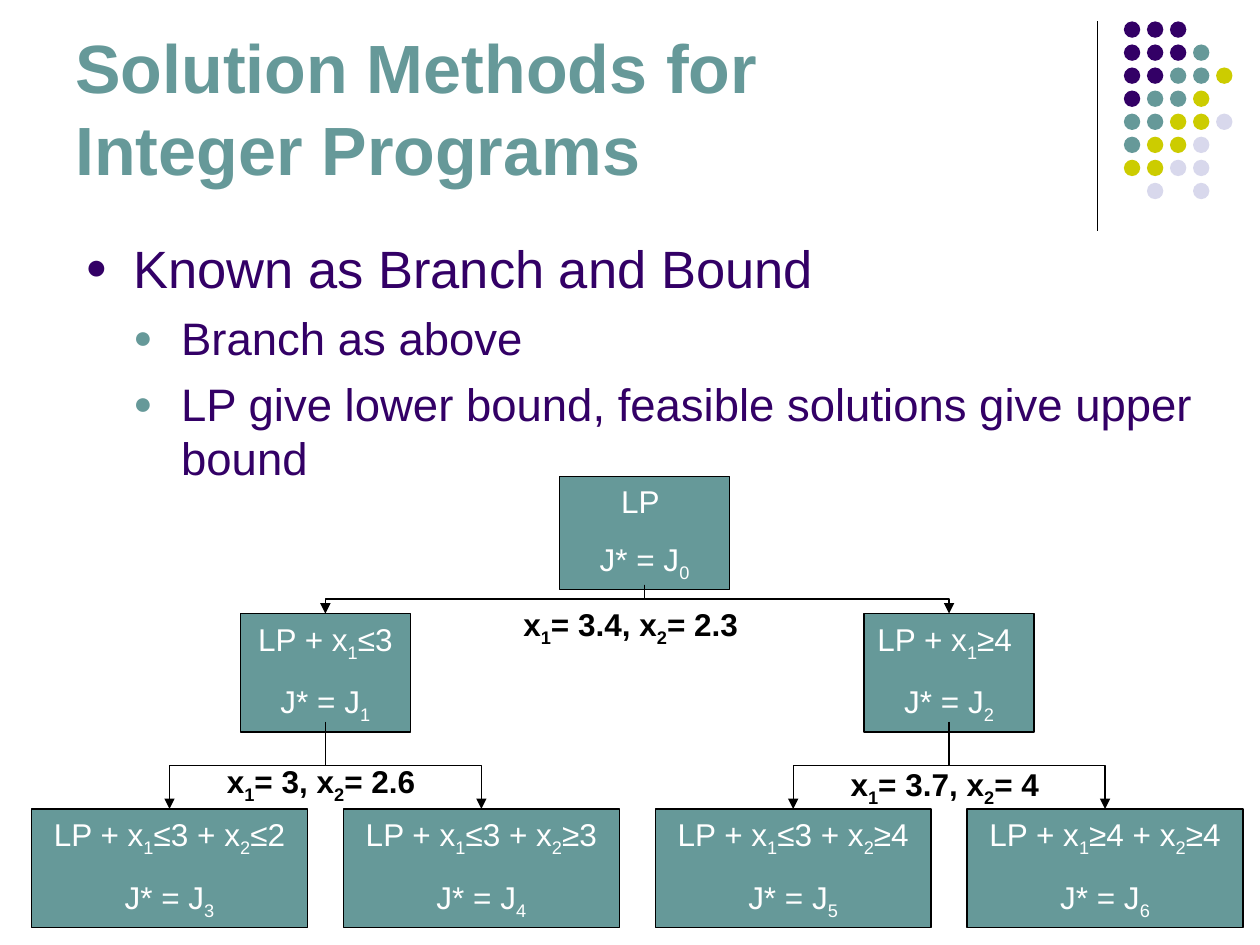
from lxml import etree
from pptx import Presentation
from pptx import util as u
from pptx.dml.color import RGBColor
from pptx.enum import shapes, text
from pptx.oxml.ns import qn

COLORS = {"purple": "330066", "teal": "669999", "olive": "CCCC00",
          "lilac": "D8D8EC", "black": "000000", "white": "FFFFFF"}
DOT_COLORS = {"P": "purple", "T": "teal", "O": "olive", "L": "lilac"}
DOT_ROWS = ["PPP", "PPPT", "PPTTO", "PTTO", "TTOOL", "TOOL", "OOLL", " L L"]

TITLE = {"size": u.Pt(39), "bold": True}
NODE = {"size": u.Pt(18), "bold": False}
LABEL = {"size": u.Pt(18), "bold": True}
BULLETS = [{"size": 30, "before": 0, "indent": 0.38, "dot": "purple"},
           {"size": 26, "before": 6.5, "indent": 0.76, "dot": "teal"}]
POINTS = [(0, "Known as Branch and Bound"),
          (1, "Branch as above"),
          (1, "LP give lower bound, feasible solutions give upper bound")]

LEAF_PITCH = 2.475
BRANCHES = [
    {"node": ("LP + x_1≤3", "J* = J_1"), "label": "x_1= 3, x_2= 2.6 ", "label_top": 6.0,
     "leaves": [("LP + x_1≤3 + x_2≤2", "J* = J_3"), ("LP + x_1≤3 + x_2≥3", "J* = J_4")]},
    {"node": ("LP + x_1≥4 ", "J* = J_2"), "label": "x_1= 3.7, x_2= 4 ", "label_top": 6.02,
     "leaves": [("LP + x_1≤3 + x_2≥4", "J* = J_5"), ("LP + x_1≥4 + x_2≥4", "J* = J_6")]},
]


def rgb(name):
    return RGBColor.from_string(COLORS[name])


def inches(*lengths):
    return [u.Inches(length) for length in lengths]


def style(font, color, formats):
    font.name = "Arial"
    font.color.rgb = rgb(color)
    for attribute, value in formats.items():
        setattr(font, attribute, value)


def add_text(slide, left, top, width, height):
    frame = slide.shapes.add_textbox(*inches(left, top, width, height)).text_frame
    frame.word_wrap = True
    return frame


def add_line(slide, kind, start, end):
    line = slide.shapes.add_connector(kind, *inches(*start, *end))
    line.line.color.rgb = rgb("black")
    line.line.width = u.Pt(0.75)
    etree.SubElement(line._element.spPr, qn("a:effectLst"))
    return line


def write_formula(paragraph, formula, color, formats):
    """Write centred text in which the character after each _ is a subscript."""
    paragraph.alignment = text.PP_ALIGN.CENTER
    first, *rest = formula.split("_")
    pieces = [(first, False)]
    for part in rest:
        pieces += [(part[0], True), (part[1:], False)]
    for piece, lowered in pieces:
        if piece:
            run = paragraph.add_run()
            run.text = piece
            style(run.font, color, formats)
            if lowered:
                run._r.get_or_add_rPr().set("baseline", "-25000")


def add_dots(slide, left, top, pitch=0.183, size=0.13):
    for row, dots in enumerate(DOT_ROWS):
        for column, key in enumerate(dots):
            if key == " ":
                continue
            dot = slide.shapes.add_shape(
                shapes.MSO_SHAPE.OVAL,
                *inches(left + column * pitch, top + row * pitch, size, size))
            dot.shadow.inherit = False
            dot.fill.solid()
            dot.fill.fore_color.rgb = rgb(DOT_COLORS[key])
            dot.line.fill.background()


def add_title(slide, left, top, width, height):
    frame = add_text(slide, left, top, width, height)
    frame.vertical_anchor = text.MSO_ANCHOR.BOTTOM
    frame.text = "Solution Methods for \vInteger Programs"
    for run in frame.paragraphs[0].runs:
        style(run.font, "teal", TITLE)


def add_points(slide, left, top, width, height):
    frame = add_text(slide, left, top, width, height)
    for index, (level, wording) in enumerate(POINTS):
        look = BULLETS[level]
        paragraph = frame.add_paragraph() if index else frame.paragraphs[0]
        paragraph.level = level
        paragraph.space_before = u.Pt(look["before"])
        properties = paragraph._p.get_or_add_pPr()
        properties.set("marL", str(u.Inches(look["indent"])))
        properties.set("indent", str(u.Inches(-0.38)))
        bullet_color = etree.SubElement(properties, qn("a:buClr"))
        etree.SubElement(bullet_color, qn("a:srgbClr"), val=COLORS[look["dot"]])
        etree.SubElement(properties, qn("a:buSzPct"), val="70000")
        etree.SubElement(properties, qn("a:buFont"), typeface="Arial")
        etree.SubElement(properties, qn("a:buChar"), char="●")
        run = paragraph.add_run()
        run.text = wording
        style(run.font, "purple", {"size": u.Pt(look["size"])})


def add_node(slide, center, top, width, height, formulas):
    node = slide.shapes.add_shape(
        shapes.MSO_SHAPE.RECTANGLE, *inches(center - width / 2, top, width, height))
    node.shadow.inherit = False
    node.fill.solid()
    node.fill.fore_color.rgb = rgb("teal")
    node.line.color.rgb = rgb("black")
    node.line.width = u.Pt(0.75)
    frame = node.text_frame
    frame.word_wrap = True
    frame.vertical_anchor = text.MSO_ANCHOR.TOP
    constraint, bound = formulas
    write_formula(frame.paragraphs[0], constraint, "white", NODE)
    second = frame.add_paragraph()
    second.space_before = u.Pt(11.2)
    write_formula(second, bound, "white", NODE)


def add_label(slide, center, top, formula):
    frame = add_text(slide, center - 1.21, top, 2.42, 0.44)
    write_formula(frame.paragraphs[0], formula, "black", LABEL)


def add_branch_arrow(slide, start, end):
    """Elbow arrow that goes down, across and down: a turned connector about its middle."""
    (x1, y1), (x2, y2) = start, end
    middle_x, middle_y = (x1 + x2) / 2, (y1 + y2) / 2
    half_drop, half_span = (y2 - y1) / 2, abs(x2 - x1) / 2
    to_right = x2 > x1
    side = -half_drop if to_right else half_drop
    arrow = add_line(slide, shapes.MSO_CONNECTOR.ELBOW,
                     (middle_x - side, middle_y - half_span),
                     (middle_x + side, middle_y + half_span))
    arrow._element.spPr.find(qn("a:xfrm")).set("rot", str((270 if to_right else 90) * 60000))
    etree.SubElement(arrow.line._get_or_add_ln(), qn("a:tailEnd"), type="triangle")


def add_tree(slide, left, top):
    root_x, branch_top, leaf_top = left + 4.865, top + 1.09, top + 2.64
    add_node(slide, root_x, top, 1.35, 0.9, ("LP ", "J* = J_0"))
    for index, branch in enumerate(BRANCHES):
        leaf_xs = [left + 1.095 + (2 * index + side) * LEAF_PITCH for side in (0, 1)]
        branch_x = sum(leaf_xs) / 2
        add_node(slide, branch_x, branch_top, 1.35, 0.94, branch["node"])
        add_branch_arrow(slide, (root_x, top + 0.86), (branch_x, branch_top))
        for leaf_x, formulas in zip(leaf_xs, branch["leaves"]):
            add_node(slide, leaf_x, leaf_top, 2.19, 0.94, formulas)
            add_branch_arrow(slide, (branch_x, branch_top + 0.86), (leaf_x, leaf_top))
        add_label(slide, branch_x, branch["label_top"], branch["label"])
    add_label(slide, root_x - 0.075, top + 0.97, "x_1= 3.4, x_2= 2.3 ")


def main():
    deck = Presentation()
    deck.slide_width, deck.slide_height = inches(10, 7.5)
    slide = deck.slides.add_slide(deck.slide_layouts[6])
    add_line(slide, shapes.MSO_CONNECTOR.STRAIGHT, (8.71, 0.17), (8.71, 1.83))
    add_dots(slide, 8.92, 0.17)
    add_points(slide, 0.58, 1.82, 9, 4.82)
    add_title(slide, 0.5, 0.13, 8.25, 1.42)
    add_tree(slide, 0.25, 3.78)
    deck.save("out.pptx")


if __name__ == "__main__":
    main()
